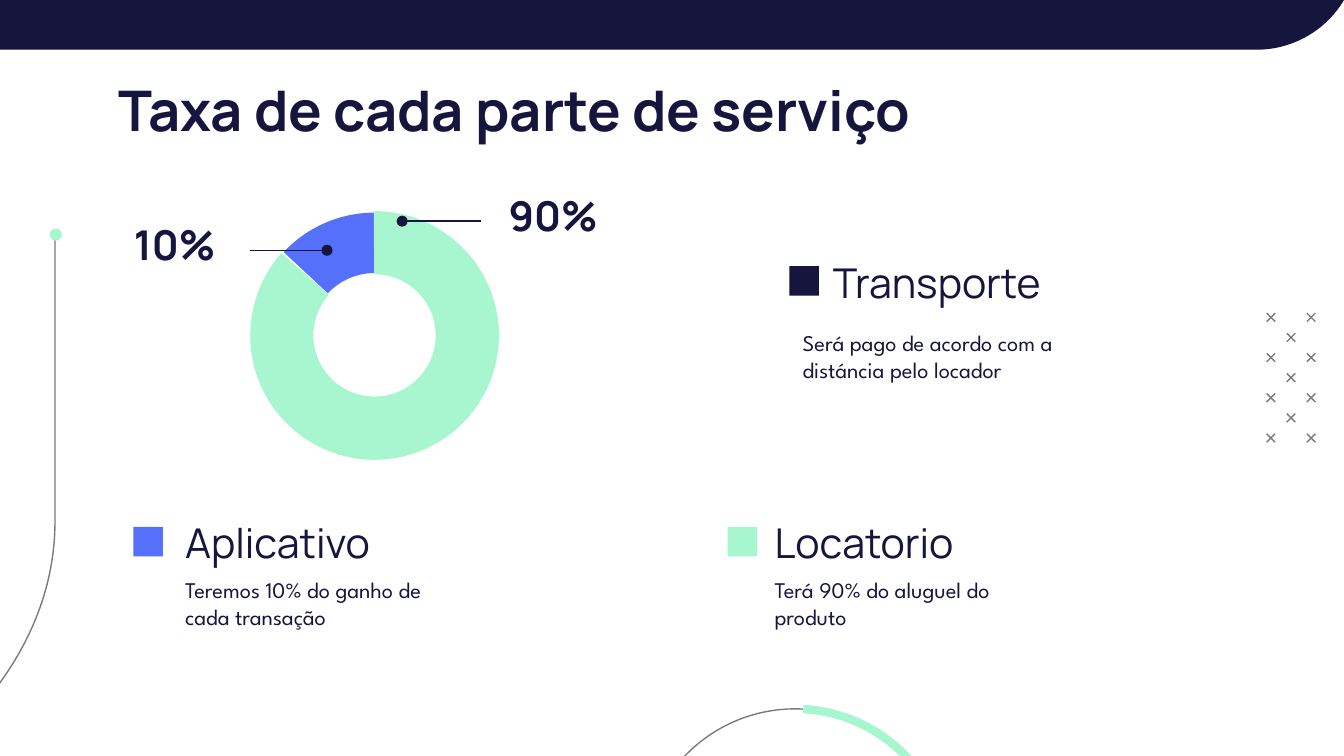
from dataclasses import dataclass
from math import cos, radians, sin, tan

from lxml.etree import SubElement
from pptx import Presentation
from pptx.dml.color import RGBColor
from pptx.enum.shapes import MSO_CONNECTOR as Connector, MSO_SHAPE as Shape
from pptx.enum.text import MSO_ANCHOR as Anchor, PP_ALIGN as Align
from pptx.oxml.ns import qn
from pptx.util import Cm, Pt

COLORS = {"navy": "15153E", "blue": "5571FB", "mint": "A7F6CF", "gray": "7A7A7A"}
HEADING_FONT = "Manrope"
BODY_FONT = "League Spartan"
LINE_WIDTH = Pt(0.75)
Point = tuple[float, float]
Segment = list[Point]  # one point for a line, three for a curve


@dataclass
class Text:
    content: str
    left: float
    top: float
    width: float
    height: float
    size: int = 22
    font: str = HEADING_FONT
    bold: bool = False
    anchor: Anchor = Anchor.BOTTOM
    align: Align = Align.LEFT


@dataclass
class Service:
    name: str
    description: str
    color: str
    marker: Point
    name_position: Point
    description_position: Point
    description_width: float


@dataclass
class RingPart:
    color: str
    top: float
    start: float
    end: float
    thickness_percent: float
    rotation: int


@dataclass
class Callout:
    label: Text
    start: Point
    end: Point


@dataclass
class Ellipse:
    x: float
    y: float
    radius_x: float
    radius_y: float

    def point(self, angle: float, push: float = 0) -> Point:
        """Point at an angle in radians, pushed along the tangent."""
        return (self.x + self.radius_x * (cos(angle) - push * sin(angle)),
                self.y + self.radius_y * (sin(angle) + push * cos(angle)))

    def arc(self, start: float, end: float, pieces: int = 1) -> list[Segment]:
        """Curves between two angles in degrees, clockwise from the right."""
        step = radians(end - start) / pieces
        push = 4 / 3 * tan(step / 4)
        angles = [radians(start) + step * i for i in range(pieces)]
        return [[self.point(a, push), self.point(a + step, -push), self.point(a + step)]
                for a in angles]


def color(name: str) -> RGBColor:
    return RGBColor.from_string(COLORS[name])


def paint(shape, fill: str) -> None:
    shape.shadow.inherit = False
    shape.fill.solid()
    shape.fill.fore_color.rgb = color(fill)
    shape.line.fill.background()


def add_filled(slide, kind: Shape, left: float, top: float, size: float, fill: str):
    shape = slide.shapes.add_shape(kind, Cm(left), Cm(top), Cm(size), Cm(size))
    paint(shape, fill)
    return shape


def add_outline(slide, start: Point, segments: list[Segment], fill: str = "") -> None:
    """A closed filled area, or an open gray line when no fill is given."""
    builder = slide.shapes.build_freeform(Cm(start[0]), Cm(start[1]))
    points = [(Cm(x), Cm(y)) for segment in segments for x, y in segment]
    builder.add_line_segments(points, close=bool(fill))
    shape = builder.convert_to_shape()
    # Join each three points into one curve
    outline = shape.element.find(".//" + qn("a:path"))
    lines = iter(outline.findall(qn("a:lnTo")))
    for segment in segments:
        first, *others = [next(lines) for _ in segment]
        if others:
            first.tag = qn("a:cubicBezTo")
        for other in others:
            first.append(other[0])
            outline.remove(other)
    if fill:
        paint(shape, fill)
    else:
        shape.shadow.inherit = False
        shape.fill.background()
        shape.line.color.rgb = color("gray")
        shape.line.width = LINE_WIDTH


def add_pointer(slide, start: Point, end: Point) -> None:
    line = slide.shapes.add_connector(
        Connector.STRAIGHT, Cm(start[0]), Cm(start[1]), Cm(end[0]), Cm(end[1]))
    line.line.color.rgb = color("navy")
    line.line.width = LINE_WIDTH
    properties = line.element.spPr
    SubElement(properties.find(qn("a:ln")), qn("a:tailEnd"), type="oval")
    SubElement(properties, qn("a:effectLst"))


def add_text(slide, text: Text) -> None:
    box = slide.shapes.add_textbox(
        Cm(text.left), Cm(text.top), Cm(text.width), Cm(text.height))
    frame = box.text_frame
    frame.word_wrap = True
    frame.vertical_anchor = text.anchor
    frame.margin_left = frame.margin_right = frame.margin_top = Cm(0.25)
    frame.margin_bottom = Cm(0.2)
    frame.text = text.content
    paragraph = frame.paragraphs[0]
    paragraph.alignment = text.align
    for run in paragraph.runs:
        run.font.name = text.font
        run.font.size = Pt(text.size)
        run.font.bold = text.bold
        run.font.color.rgb = color("navy")


def add_ring_part(slide, part: RingPart) -> None:
    shape = add_filled(slide, Shape.BLOCK_ARC, 4.73, part.top, 4.7, part.color)
    # One degree is 0.6 in adjustment units
    shape.adjustments[0] = part.start * 0.6
    shape.adjustments[1] = part.end * 0.6
    shape.adjustments[2] = part.thickness_percent / 100
    shape.rotation = part.rotation
    shape.element.spPr.find(qn("a:xfrm")).set("flipH", "1")


def add_service(slide, service: Service) -> None:
    add_filled(slide, Shape.RECTANGLE, *service.marker, 0.56, service.color)
    add_text(slide, Text(service.name, *service.name_position, 4.8, 1.09))
    add_text(slide, Text(service.description, *service.description_position,
                         service.description_width, 1.85, size=12, font=BODY_FONT,
                         anchor=Anchor.TOP))


def add_crosses(slide) -> None:
    left, top, step, size = 23.94, 5.92, 0.38, 0.16
    for row in range(7):
        for column in ([1] if row % 2 else [0, 2]):
            x, y = left + column * step, top + row * step
            add_outline(slide, (x, y), [[(x + size, y + size)]])
            add_outline(slide, (x + size, y), [[(x, y + size)]])


def add_decoration(slide) -> None:
    add_crosses(slide)
    # Circle at the bottom edge, with its mint band
    circle, outer, inner = [Ellipse(15.03, 16.29, r, r) for r in (2.89, 2.97, 2.81)]
    start, end = -87, 3
    add_outline(slide, circle.point(radians(start)), circle.arc(start, end - 360, 3))
    add_outline(slide, outer.point(radians(start)),
                [*outer.arc(start, end, 2), [inner.point(radians(end))],
                 *inner.arc(end, start, 2)], "mint")
    # Curved line on the left, with its dot
    bend = Ellipse(-9.55, 9.86, 10.59, 7.04)
    add_outline(slide, (1.04, 4.44), [[bend.point(0)], *bend.arc(0, 90), [(-12.93, 16.9)]])
    add_filled(slide, Shape.OVAL, 0.94, 4.32, 0.23, "mint")
    # Header band with a rounded corner
    corner = Ellipse(23.75, -0.98, 1.92, 1.92)
    add_outline(slide, (0, 0), [[(0, 0.94)], [(23.75, 0.94)], *corner.arc(90, 30.7)], "navy")


RING = [
    RingPart("blue", 4.02, 270.33, 316.95, 24.3, 0),
    RingPart("mint", 3.99, 138.45, 90.35, 25.4, 180),
]
SERVICES = [
    Service("Aplicativo", "Teremos 10% do ganho de cada transação", "blue",
            (2.52, 9.96), (3.25, 9.83), (3.25, 10.64), 5.51),
    Service("Locatorio", "Terá 90% do aluguel do produto", "mint",
            (13.75, 9.96), (14.39, 9.83), (14.39, 10.64), 5.11),
    Service("Transporte", "Será pago de acordo com a distáncia pelo locador", "navy",
            (14.92, 5.03), (15.49, 4.9), (14.92, 5.97), 5.92),
]
CALLOUTS = [
    Callout(Text("10%", 2.28, 4.19, 2.46, 1.09, bold=True), (4.72, 4.73), (6.18, 4.73)),
    Callout(Text("90%", 9.09, 3.64, 2.46, 1.09, bold=True, align=Align.RIGHT),
            (9.09, 4.18), (7.6, 4.18)),
]


def main() -> None:
    presentation = Presentation()
    presentation.slide_width = Cm(25.4)
    presentation.slide_height = Cm(14.29)
    slide = presentation.slides.add_slide(presentation.slide_layouts[6])

    add_decoration(slide)
    add_text(slide, Text("Taxa de cada parte de serviço", 1.99, 1.17, 21.44, 1.6,
                         size=30, bold=True, anchor=Anchor.TOP))
    # Ring with its shares
    for part in RING:
        add_ring_part(slide, part)
    for callout in CALLOUTS:
        add_text(slide, callout.label)
        add_pointer(slide, callout.start, callout.end)
    # Legend
    for service in SERVICES:
        add_service(slide, service)

    presentation.save("out.pptx")


if __name__ == "__main__":
    main()
